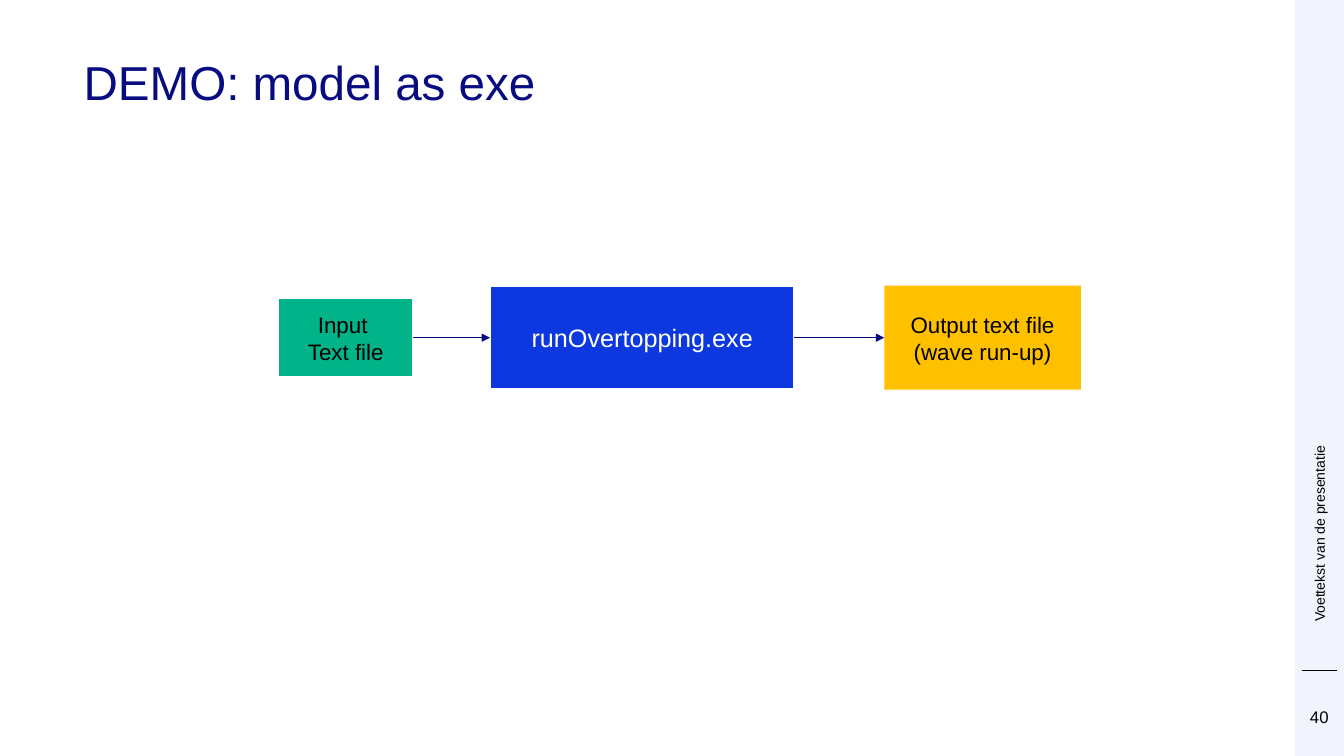
from dataclasses import dataclass

from lxml.etree import SubElement
from pptx import Presentation
from pptx.dml.color import RGBColor
from pptx.enum.shapes import MSO_CONNECTOR, MSO_SHAPE
from pptx.enum.text import MSO_ANCHOR, MSO_AUTO_SIZE, PP_ALIGN
from pptx.oxml.ns import qn
from pptx.shapes.autoshape import Shape
from pptx.shapes.connector import Connector
from pptx.slide import Slide
from pptx.text.text import TextFrame
from pptx.util import Inches, Pt

WHITE = RGBColor(0xFF, 0xFF, 0xFF)
BLACK = RGBColor(0x00, 0x00, 0x00)
NAVY = RGBColor(0x08, 0x0C, 0x80)
BLUE = RGBColor(0x0D, 0x38, 0xE0)
GREEN = RGBColor(0x00, 0xB3, 0x89)
YELLOW = RGBColor(0xFF, 0xC0, 0x00)
PALE_BLUE = RGBColor(0xF1, 0xF3, 0xFD)

FONT = "Arial"
FLOW_Y = 3.35
SIDEBAR_X, SIDEBAR_W = 12.84, 0.49
RIGHT_SIDE, LEFT_SIDE = 3, 1


@dataclass(frozen=True)
class Step:
    lines: tuple[str, ...]
    left: float
    width: float
    height: float
    fill: RGBColor
    size: int = 16
    color: RGBColor = BLACK
    outlined: bool = True


STEPS = (
    Step(("Input ", "Text file"), 2.76, 1.34, 0.78, GREEN),
    Step(("runOvertopping.exe",), 4.86, 3.02, 1.02, BLUE, 18, WHITE),
    Step(("Output text file", "(wave run-up)"), 8.77, 1.95, 1.03, YELLOW,
         outlined=False),
)


def write(tf: TextFrame, lines: tuple[str, ...], size: int, color: RGBColor,
          align: PP_ALIGN, anchor: MSO_ANCHOR) -> None:
    tf.text = "\n".join(lines)
    tf.word_wrap = True
    tf.auto_size = MSO_AUTO_SIZE.NONE
    tf.vertical_anchor = anchor
    for p in tf.paragraphs:
        p.alignment = align
        p.font.name = FONT
        p.font.size = Pt(size)
        p.font.color.rgb = color


def clear_margins(tf: TextFrame) -> None:
    tf.margin_left = tf.margin_top = tf.margin_right = tf.margin_bottom = 0


def add_box(s: Slide, left: float, top: float, width: float, height: float,
            fill: RGBColor) -> Shape:
    """Add a flat rectangle without an outline."""
    sp = s.shapes.add_shape(MSO_SHAPE.RECTANGLE, Inches(left), Inches(top),
                            Inches(width), Inches(height))
    sp.shadow.inherit = False
    sp.fill.solid()
    sp.fill.fore_color.rgb = fill
    sp.line.fill.background()
    return sp


def add_line(s: Slide, x1: float, x2: float, y: float,
             color: RGBColor) -> Connector:
    """Add a thin horizontal line without a shadow."""
    line = s.shapes.add_connector(MSO_CONNECTOR.STRAIGHT, Inches(x1),
                                  Inches(y), Inches(x2), Inches(y))
    line.line.color.rgb = color
    line.line.width = Pt(0.5)
    SubElement(line.element.spPr, qn("a:effectLst"))
    return line


def add_label(s: Slide, text: str, left: float, top: float, width: float,
              height: float, size: int, align: PP_ALIGN,
              anchor: MSO_ANCHOR) -> Shape:
    sp = s.shapes.add_textbox(Inches(left), Inches(top), Inches(width),
                              Inches(height))
    write(sp.text_frame, (text,), size, BLACK, align, anchor)
    clear_margins(sp.text_frame)
    return sp


def add_sidebar(s: Slide) -> None:
    add_box(s, SIDEBAR_X, 0, SIDEBAR_W, 7.5, PALE_BLUE)
    add_line(s, 12.91, 13.26, 6.65, BLACK)
    footer = add_label(s, "Voettekst van de presentatie", 13, 0.59, 0.17, 5.58,
                       10, PP_ALIGN.LEFT, MSO_ANCHOR.MIDDLE)
    footer.element.txBody.find(qn("a:bodyPr")).set("vert", "vert270")
    add_label(s, "40", SIDEBAR_X, 7.01, SIDEBAR_W, 0.2, 12, PP_ALIGN.CENTER,
              MSO_ANCHOR.TOP)


def format_title(s: Slide) -> None:
    title = s.shapes.title
    title.left, title.top = Inches(0.83), Inches(0.59)
    title.width, title.height = Inches(11.5), Inches(1.02)
    tf = title.text_frame
    write(tf, ("DEMO: model as exe",), 34, NAVY, PP_ALIGN.LEFT, MSO_ANCHOR.TOP)
    clear_margins(tf)
    tf.paragraphs[0].line_spacing = 0.9


def add_step(s: Slide, step: Step) -> Shape:
    sp = add_box(s, step.left, FLOW_Y - step.height / 2, step.width,
                 step.height, step.fill)
    if step.outlined:
        sp.line.color.rgb = WHITE
        sp.line.width = Pt(1.5)
    write(sp.text_frame, step.lines, step.size, step.color, PP_ALIGN.CENTER,
          MSO_ANCHOR.MIDDLE)
    return sp


def add_arrow(s: Slide, source: Shape, target: Shape) -> None:
    arrow = add_line(s, 0, 1, FLOW_Y, NAVY)
    arrow.begin_connect(source, RIGHT_SIDE)
    arrow.end_connect(target, LEFT_SIDE)
    SubElement(arrow.element.spPr.find(qn("a:ln")), qn("a:tailEnd"),
               type="triangle")


def main() -> None:
    prs = Presentation()
    prs.slide_width, prs.slide_height = Inches(13.33), Inches(7.5)
    s = prs.slides.add_slide(prs.slide_layouts[5])
    add_sidebar(s)
    format_title(s)
    boxes = [add_step(s, step) for step in STEPS]
    for source, target in zip(boxes, boxes[1:]):
        add_arrow(s, source, target)
    prs.save("out.pptx")


if __name__ == "__main__":
    main()
